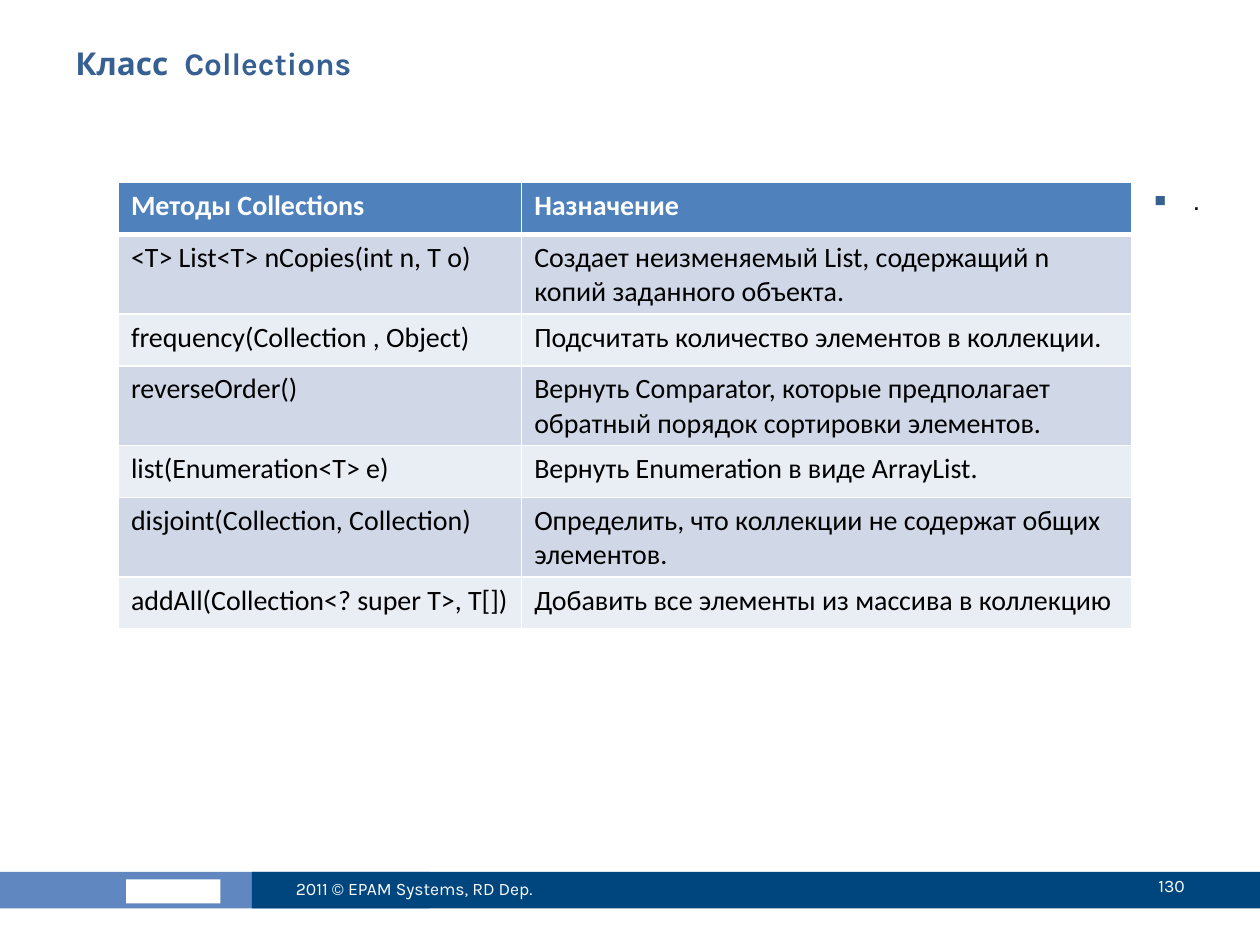
from pptx import Presentation
from pptx.dml.color import RGBColor
from pptx.enum.shapes import MSO_SHAPE
from pptx.enum.text import MSO_ANCHOR, PP_ALIGN
from pptx.oxml import parse_xml
from pptx.oxml.ns import nsdecls
from pptx.util import Inches, Pt

WHITE = RGBColor(0xFF, 0xFF, 0xFF)
BLACK = RGBColor(0x00, 0x00, 0x00)
TITLE_BLUE = RGBColor(0x37, 0x60, 0x92)
FOOTER_LIGHT = RGBColor(0x60, 0x87, 0xBF)
FOOTER_DARK = RGBColor(0x00, 0x46, 0x7E)
HEADER_BLUE = RGBColor(0x4F, 0x81, 0xBD)
BAND_DARK = RGBColor(0xD0, 0xD8, 0xE8)
BAND_LIGHT = RGBColor(0xE9, 0xED, 0xF4)


def style(paragraph, font, size, color, bold=False):
    for span in paragraph.runs:
        span.font.name = font
        span.font.size = Pt(size)
        span.font.color.rgb = color
        span.font.bold = bold


def add_text(page, text, left, top, width, height, anchor=MSO_ANCHOR.TOP):
    box = page.shapes.add_textbox(Inches(left), Inches(top), Inches(width), Inches(height))
    box.text_frame.word_wrap = True
    box.text_frame.vertical_anchor = anchor
    box.text_frame.text = text
    return box.text_frame.paragraphs[0]


deck = Presentation()
deck.slide_width, deck.slide_height = Inches(10), Inches(7.5)
page = deck.slides.add_slide(deck.slide_layouts[6])

# Footer bands, with a plain block in the logo's place
for left, top, width, height, color in [
    (-0.02, 6.92, 3.43, 0.29, FOOTER_LIGHT),
    (1, 6.98, 0.75, 0.19, WHITE),
    (2, 6.92, 8, 0.29, FOOTER_DARK),
]:
    band = page.shapes.add_shape(
        MSO_SHAPE.RECTANGLE, Inches(left), Inches(top), Inches(width), Inches(height))
    band.shadow.inherit = False
    band.fill.solid()
    band.fill.fore_color.rgb = color
    band.line.fill.background()

# Title
title = add_text(page, "Класс  Collections", 0.5, 0.3, 9, 0.78)
style(title, "Karla", 18, TITLE_BLUE, bold=True)

# Footer text and page number
footer = add_text(page, "2011 © EPAM Systems, RD Dep.", 2.25, 6.85, 2.67, 0.4, MSO_ANCHOR.MIDDLE)
style(footer, "Karla", 10, WHITE)
number = add_text(page, "130", 8.42, 6.83, 1.08, 0.4, MSO_ANCHOR.MIDDLE)
number.alignment = PP_ALIGN.RIGHT
style(number, "Karla", 10, WHITE)

# Table of methods
methods = [
    ("Методы Collections", "Назначение"),
    ("<T> List<T> nCopies(int n, T o)",
     "Создает неизменяемый List, содержащий n копий заданного объекта."),
    ("frequency(Collection , Object)", "Подсчитать количество элементов в коллекции."),
    ("reverseOrder()",
     "Вернуть Comparator, которые предполагает обратный порядок сортировки элементов."),
    ("list(Enumeration<T> e)", "Вернуть Enumeration в виде ArrayList."),
    ("disjoint(Collection, Collection)",
     "Определить, что коллекции не содержат общих элементов."),
    ("addAll(Collection<? super T>, T[])", "Добавить все элементы из массива в коллекцию"),
]
row_height = 0.41
table = page.shapes.add_table(
    len(methods), 2, Inches(0.94), Inches(1.45),
    Inches(8.04), Inches(row_height * len(methods))).table
table.columns[0].width = Inches(3.2)
table.columns[1].width = Inches(4.84)

for row, texts in enumerate(methods):
    table.rows[row].height = Inches(row_height)
    is_header = row == 0
    fill = HEADER_BLUE if is_header else BAND_DARK if row % 2 else BAND_LIGHT
    for column, text in enumerate(texts):
        cell = table.cell(row, column)
        cell.text_frame.text = text
        style(cell.text_frame.paragraphs[0], "Calibri", 16,
              WHITE if is_header else BLACK, bold=is_header)
        # White borders, with a thick line between header and body
        properties = cell._tc.get_or_add_tcPr()
        for side in "LRTB":
            thick = (row, side) in [(0, "B"), (1, "T")]
            properties.append(parse_xml(
                f'<a:ln{side} {nsdecls("a")} w="{Pt(3 if thick else 1)}">'
                f'<a:solidFill><a:srgbClr val="{WHITE}"/></a:solidFill></a:ln{side}>'))
        cell.fill.solid()
        cell.fill.fore_color.rgb = fill

# Bullet to the right of the table
bullet = add_text(page, ".", 9.06, 1.41, 0.9, 5.25)
bullet_properties = bullet._p.get_or_add_pPr()
bullet_properties.set("marL", str(Inches(0.31)))
bullet_properties.set("indent", str(Inches(-0.31)))
for element in (
    f'<a:buClr {nsdecls("a")}><a:srgbClr val="{TITLE_BLUE}"/></a:buClr>',
    f'<a:buSzPct {nsdecls("a")} val="140000"/>',
    f'<a:buFont {nsdecls("a")} typeface="Arial"/>',
    f'<a:buChar {nsdecls("a")} char="▪"/>',
):
    bullet_properties.append(parse_xml(element))
style(bullet, "Arial", 15, BLACK)

deck.save("out.pptx")
